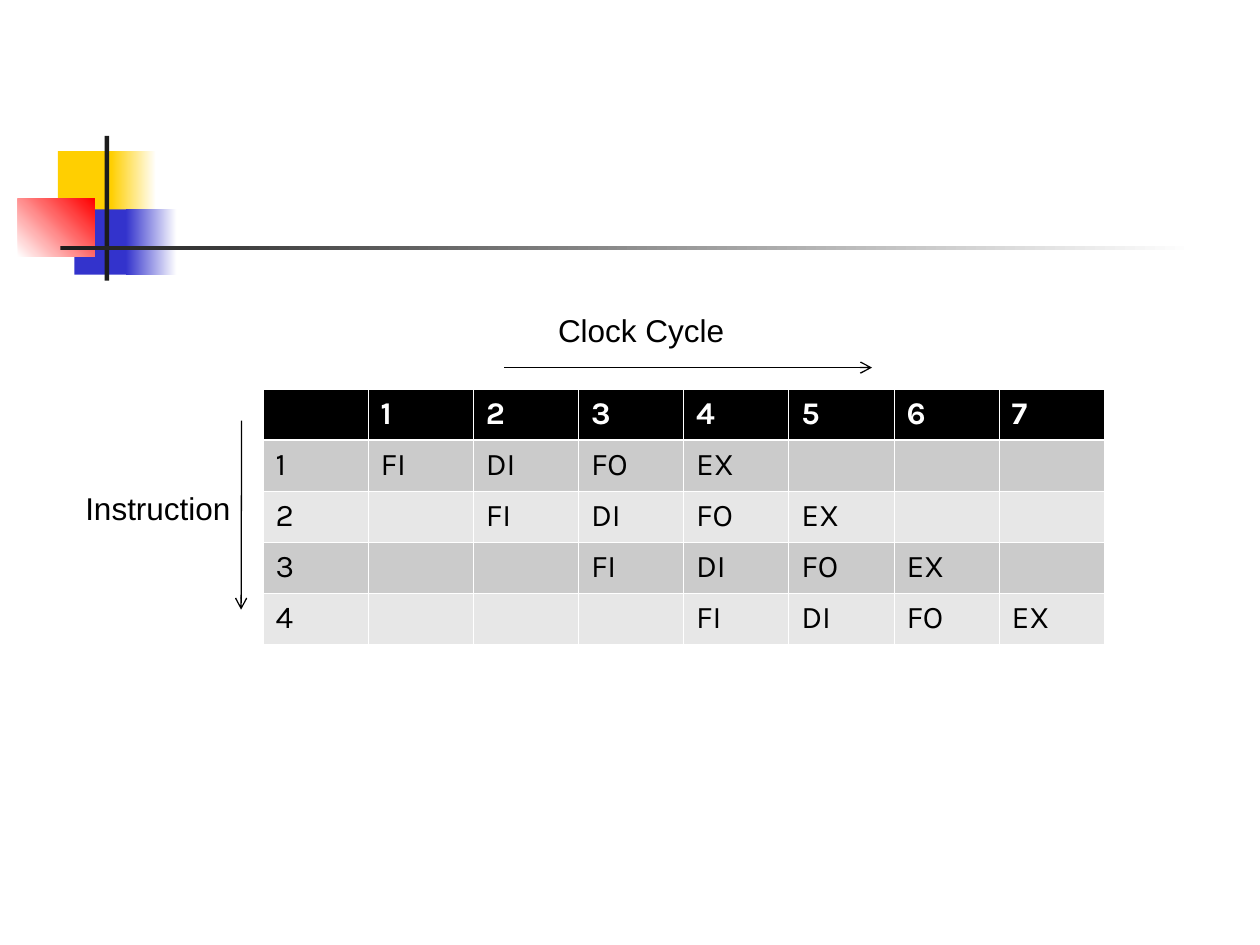
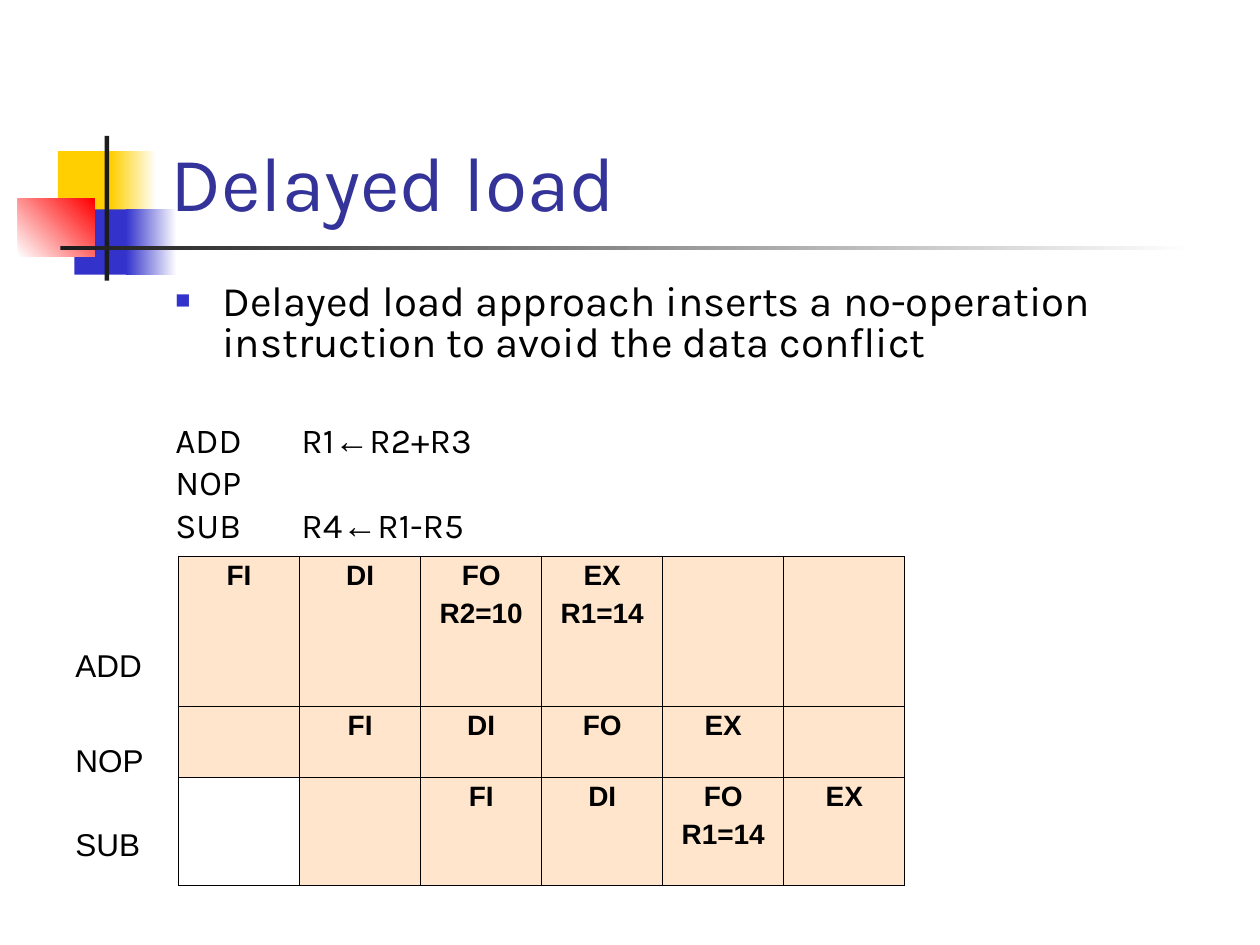
import pptx
import pptx.dml.color
import pptx.enum.dml
import pptx.enum.shapes
import pptx.enum.text
import pptx.oxml
import pptx.oxml.ns
import pptx.util
from lxml import etree

Cm = pptx.util.Cm
Pt = pptx.util.Pt
RGBColor = pptx.dml.color.RGBColor
PP_ALIGN = pptx.enum.text.PP_ALIGN
MSO_ANCHOR = pptx.enum.text.MSO_ANCHOR
qn = pptx.oxml.ns.qn

# Shared colours and fonts
BLACK = RGBColor(0x00, 0x00, 0x00)
WHITE = RGBColor(0xFF, 0xFF, 0xFF)
INK = RGBColor(0x1C, 0x1C, 0x1C)
YELLOW = RGBColor(0xFF, 0xCF, 0x01)
BLUE = RGBColor(0x33, 0x33, 0xCC)
RED = RGBColor(0xFF, 0x00, 0x00)
TITLE_BLUE = RGBColor(0x33, 0x33, 0x99)
DARK_BAND = RGBColor(0xCB, 0xCB, 0xCB)
LIGHT_BAND = RGBColor(0xE7, 0xE7, 0xE7)
PEACH = RGBColor(0xFF, 0xCC, 0x99)
KARLA = "Karla"
ARIAL = "Arial"

STAGES = ["FI", "DI", "FO", "EX"]


# Text
def set_attrs(obj, values):
    for name, value in values.items():
        setattr(obj, name, value)


def add_run(p, text, size, font=KARLA, color=BLACK, bold=False):
    r = p.add_run()
    r.text = text
    set_attrs(r.font, {"name": font, "size": Pt(size), "bold": bold})
    r.font.color.rgb = color


def add_label(slide, text, left, top, width):
    sp = slide.shapes.add_textbox(Cm(left), Cm(top), Cm(width), Cm(1.02))
    sp.text_frame.word_wrap = True
    add_run(sp.text_frame.paragraphs[0], text, 18, ARIAL)


def place(sp, left, top, width, height):
    set_attrs(sp, {"left": Cm(left), "top": Cm(top),
                   "width": Cm(width), "height": Cm(height)})


def set_title(slide, text):
    sp = slide.shapes.title
    place(sp, 3.18, 0.64, 21.64, 4.06)
    tf = sp.text_frame
    set_attrs(tf, {"vertical_anchor": MSO_ANCHOR.BOTTOM, "word_wrap": True,
                   "auto_size": pptx.enum.text.MSO_AUTO_SIZE.NONE})
    tf.paragraphs[0].alignment = PP_ALIGN.LEFT
    add_run(tf.paragraphs[0], text, 44, color=TITLE_BLUE)


def set_indent(p, margin, indent):
    pPr = p._p.get_or_add_pPr()
    pPr.set("marL", str(Cm(margin)))
    pPr.set("indent", str(Cm(indent)))
    return pPr


def add_bullet(p, text):
    set_attrs(p, {"line_spacing": 0.8, "space_before": Pt(6)})
    pPr = set_indent(p, 0.95, -0.95)
    color = etree.SubElement(pPr, qn("a:buClr"))
    etree.SubElement(color, qn("a:srgbClr"), val=str(BLUE))
    etree.SubElement(pPr, qn("a:buSzPct"), val="60000")
    etree.SubElement(pPr, qn("a:buFont"), typeface=ARIAL)
    etree.SubElement(pPr, qn("a:buChar"), char="■")
    add_run(p, text, 24)


def add_code(p, opcode, target="", source="", tab=0, before=5):
    set_attrs(p, {"line_spacing": 0.8, "space_before": Pt(before)})
    pPr = set_indent(p, 0, 0)
    etree.SubElement(pPr, qn("a:buNone"))
    if not target:
        add_run(p, opcode, 20)
        return
    tabs = etree.SubElement(pPr, qn("a:tabLst"))
    etree.SubElement(tabs, qn("a:tab"), pos=str(Cm(tab)), algn="l")
    add_run(p, f"{opcode}\t{target}", 20)
    add_run(p, "←", 20, ARIAL)
    add_run(p, source, 20)


# Lines and decoration
def add_arrow(slide, x1, y1, x2, y2):
    line = slide.shapes.add_connector(
        pptx.enum.shapes.MSO_CONNECTOR.STRAIGHT, Cm(x1), Cm(y1), Cm(x2), Cm(y2))
    line.line.color.rgb = BLACK
    line.line.width = Pt(0.75)
    etree.SubElement(line.line._get_or_add_ln(), qn("a:tailEnd"), type="arrow")
    etree.SubElement(line._element.spPr, qn("a:effectLst"))


def add_block(slide, box, start, end=None, angle=0):
    sp = slide.shapes.add_shape(pptx.enum.shapes.MSO_SHAPE.RECTANGLE,
                                *[Cm(v) for v in box])
    sp.shadow.inherit = False
    sp.line.fill.background()
    if end is None:
        sp.fill.solid()
        sp.fill.fore_color.rgb = start
    else:
        sp.fill.gradient()
        sp.fill.gradient_angle = angle
        for stop, color in zip(sp.fill.gradient_stops, (start, end)):
            stop.color.rgb = color
    return sp


def decorate_master(prs, slide):
    """Build the corner blocks and rules, then move them to the master."""
    blocks = [
        ((1.17, 3.05, 1.22, 1.32), YELLOW),
        ((2.24, 3.05, 0.91, 1.32), YELLOW, WHITE),
        ((1.5, 4.22, 1.17, 1.32), BLUE),
        ((2.54, 4.22, 1.02, 1.32), BLUE, WHITE),
        ((0.36, 4.01, 1.55, 1.17), WHITE, RED, 45),
        ((2.11, 2.74, 0.09, 2.92), INK),
        ((1.22, 4.95, 22.86, 0.09), INK, WHITE),
    ]
    for number, block in enumerate(blocks, 101):
        el = add_block(slide, *block)._element
        el.xpath("p:nvSpPr/p:cNvPr")[0].set("id", str(number))
        prs.slide_master.shapes.element.append(el)


# Tables
def set_borders(cell, color, top=0.45, bottom=0.45):
    tcPr = cell._tc.get_or_add_tcPr()
    for side, width in (("L", 0.45), ("R", 0.45), ("T", top), ("B", bottom)):
        ln = etree.SubElement(tcPr, qn("a:ln" + side), w=str(Pt(width)))
        fill = etree.SubElement(ln, qn("a:solidFill"))
        etree.SubElement(fill, qn("a:srgbClr"), val=str(color))


def fill_cell(cell, color, alpha=None):
    cell.fill.solid()
    cell.fill.fore_color.rgb = color
    if alpha is not None:
        rgb = cell._tc.tcPr.find(qn("a:solidFill"))[0]
        etree.SubElement(rgb, qn("a:alpha"), val=str(alpha * 1000))


def add_grid(slide, left, top, col_width, row_heights, n_cols):
    frame = slide.shapes.add_table(len(row_heights), n_cols, Cm(left), Cm(top),
                                   Cm(col_width * n_cols), Cm(sum(row_heights)))
    table = frame.table
    set_attrs(table, {"first_row": False, "horz_banding": False})
    for col in table.columns:
        col.width = Cm(col_width)
    for row, height in zip(table.rows, row_heights):
        row.height = Cm(height)
    return table


def staggered(n, n_cols):
    """Stages of instruction n, each instruction starting one cycle later."""
    return [""] * n + STAGES + [""] * (n_cols - n - len(STAGES))


def add_cycle_table(slide):
    cycles = 7
    rows = [[""] + [str(c) for c in range(1, cycles + 1)]]
    rows += [[str(n + 1)] + staggered(n, cycles) for n in range(4)]
    table = add_grid(slide, 5.3, 7.84, 2.12, [1.03] * len(rows), cycles + 1)
    for i, row in enumerate(rows):
        header = i == 0
        band = BLACK if header else DARK_BAND if i % 2 else LIGHT_BAND
        for j, text in enumerate(row):
            cell = table.cell(i, j)
            set_borders(cell, WHITE, top=1.47 if i == 1 else 0.45,
                        bottom=1.47 if header else 0.45)
            fill_cell(cell, band)
            if text:
                add_run(cell.text_frame.paragraphs[0], text, 18,
                        color=WHITE if header else BLACK, bold=header)


def add_load_table(slide):
    cycles = 6
    values = {(0, 2): "R2=10", (0, 3): "R1=14", (2, 4): "R1=14"}
    table = add_grid(slide, 3.6, 11.22, 2.44, [3.02, 1.43, 2.18], cycles)
    for i in range(3):
        for j, stage in enumerate(staggered(i, cycles)):
            cell = table.cell(i, j)
            set_attrs(cell, dict.fromkeys(
                ["margin_left", "margin_right", "margin_top", "margin_bottom"], Cm(0.13)))
            set_borders(cell, BLACK)
            if (i, j) == (2, 0):
                cell.fill.background()
            else:
                fill_cell(cell, PEACH, 50)
            lines = [text for text in (stage, values.get((i, j))) if text]
            tf = cell.text_frame
            for k, text in enumerate(lines):
                p = tf.add_paragraph() if k else tf.paragraphs[0]
                set_attrs(p, {"alignment": PP_ALIGN.CENTER, "line_spacing": 0.9,
                              "space_before": Pt(6)})
                add_run(p, text, 16, ARIAL, bold=True)


# Slides
def build_cycle_slide(slide):
    add_cycle_table(slide)
    add_label(slide, "Instruction", 1.47, 9.73, 4.37)
    add_label(slide, "Clock Cycle", 11, 6.15, 5.92)
    add_arrow(slide, 10.16, 7.41, 17.58, 7.41)
    add_arrow(slide, 4.87, 8.48, 4.86, 12.29)


def build_load_slide(slide):
    set_title(slide, "Delayed load")
    body = slide.placeholders[1]
    place(body, 3.28, 5.61, 21.59, 11.43)
    tf = body.text_frame
    set_attrs(tf, {"vertical_anchor": MSO_ANCHOR.TOP, "word_wrap": True,
                   "auto_size": pptx.enum.text.MSO_AUTO_SIZE.NONE})
    add_bullet(tf.paragraphs[0], "Delayed load approach inserts a no-operation "
                                 "instruction to avoid the data conflict")
    add_code(tf.add_paragraph(), "ADD", "R1", "R2+R3", tab=3.84, before=35)
    add_code(tf.add_paragraph(), "NOP")
    add_code(tf.add_paragraph(), "SUB", "R4", "R1-R5", tab=6.4)
    add_load_table(slide)
    for text, top in (("ADD", 12.9), ("NOP", 14.81), ("SUB", 16.51)):
        add_label(slide, text, 1.27, top, 2.2)


def main():
    prs = pptx.Presentation()
    set_attrs(prs, {"slide_width": Cm(25.4), "slide_height": Cm(19.05)})
    cycle_slide = prs.slides.add_slide(prs.slide_layouts[6])
    decorate_master(prs, cycle_slide)
    build_cycle_slide(cycle_slide)
    build_load_slide(prs.slides.add_slide(prs.slide_layouts[1]))
    prs.save("out.pptx")


if __name__ == "__main__":
    main()
